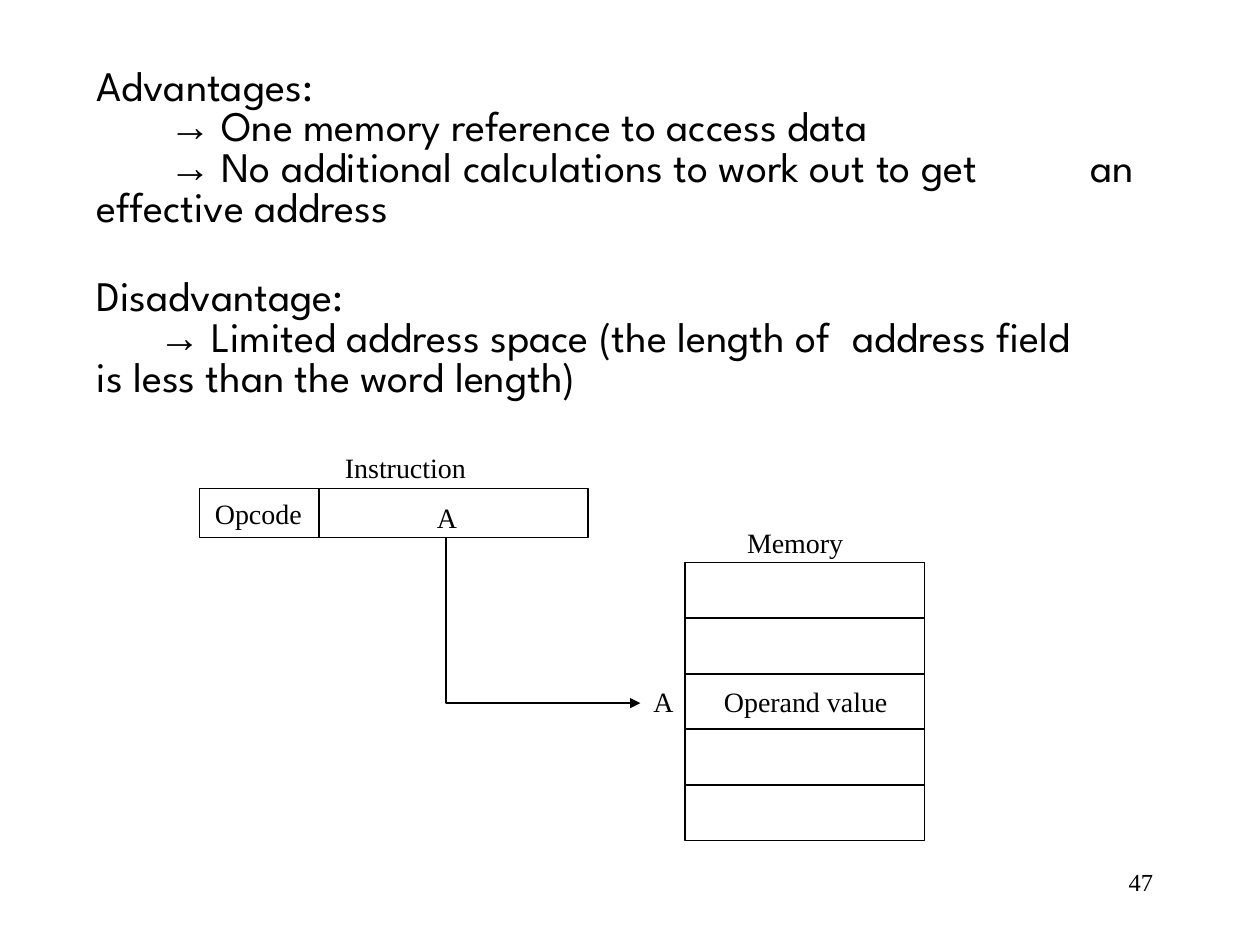
from lxml.etree import SubElement
from pptx import Presentation
from pptx.dml.color import RGBColor
from pptx.enum.shapes import MSO_CONNECTOR, MSO_SHAPE
from pptx.enum.text import MSO_ANCHOR, MSO_AUTO_SIZE, PP_ALIGN
from pptx.oxml.ns import qn
from pptx.util import Pt

BLACK = RGBColor(0x00, 0x00, 0x00)
SERIF = "Times New Roman"
SANS = "League Spartan"


def add_label(text, left, top, width, height, size=16, align=PP_ALIGN.LEFT, wrap=False):
    box = slide.shapes.add_textbox(Pt(left), Pt(top), Pt(width), Pt(height))
    box.text_frame.word_wrap = wrap
    paragraph = box.text_frame.paragraphs[0]
    paragraph.alignment = align
    run = paragraph.add_run()
    run.text = text
    run.font.name = SERIF
    run.font.size = Pt(size)
    run.font.color.rgb = BLACK


def outline(shape):
    shape.fill.background()
    shape.line.color.rgb = BLACK
    shape.line.width = Pt(1)
    shape.shadow.inherit = False


presentation = Presentation()
presentation.slide_width = Pt(720)
presentation.slide_height = Pt(540)
slide = presentation.slides.add_slide(presentation.slide_layouts[3])
title = slide.shapes.title
title.element.getparent().remove(title.element)

lists = [
    (1, (48, 36, 624, 99.5), 41.5, 576, "Advantages:", [
        "One memory reference to access data",
        "No additional calculations to work out to get \tan effective address",
    ]),
    (2, (48, 156.2, 588, 76), 35.5, 432, "Disadvantage:", [
        "Limited address space (the length of \taddress field is less than the word length)",
    ]),
]
for index, (left, top, width, height), indent, tab, heading, points in lists:
    body = slide.placeholders[index]
    body.left, body.top, body.width, body.height = Pt(left), Pt(top), Pt(width), Pt(height)
    frame = body.text_frame
    frame.word_wrap = True
    frame.auto_size = MSO_AUTO_SIZE.NONE
    frame.vertical_anchor = MSO_ANCHOR.TOP
    for number, text in enumerate([heading] + points):
        paragraph = frame.paragraphs[0] if number == 0 else frame.add_paragraph()
        properties = paragraph._p.get_or_add_pPr()
        properties.set("marL", "0")
        properties.set("indent", str(Pt(indent) if number else 0))
        properties.set("defTabSz", str(Pt(72)))
        SubElement(properties, qn("a:buNone"))
        tabs = SubElement(properties, qn("a:tabLst"))
        SubElement(tabs, qn("a:tab"), pos=str(Pt(tab)), algn="l")
        paragraph.line_spacing = 0.8
        paragraph.space_before = Pt(0)
        pieces = [("→", "Arial"), (" " + text, SANS)] if number else [(text, SANS)]
        for piece, font in pieces:
            run = paragraph.add_run()
            run.text = piece
            run.font.name = font
            run.font.size = Pt(24)
            run.font.color.rgb = BLACK

instruction = slide.shapes.add_shape(MSO_SHAPE.RECTANGLE, Pt(114), Pt(279.2), Pt(222), Pt(28))
outline(instruction)
divider = slide.shapes.add_connector(
    MSO_CONNECTOR.STRAIGHT, Pt(182.2), Pt(279.2), Pt(182.2), Pt(307.2))
divider.line.color.rgb = BLACK
divider.line.width = Pt(1)
SubElement(divider._element.spPr, qn("a:effectLst"))

for row in range(5):
    cell = slide.shapes.add_shape(
        MSO_SHAPE.RECTANGLE, Pt(391.5), Pt(321.4 + 31.8 * row), Pt(136.8), Pt(31.8))
    outline(cell)

builder = slide.shapes.build_freeform(Pt(254.7), Pt(307.2))
builder.add_line_segments([(Pt(254.7), Pt(401.8)), (Pt(366), Pt(401.8))], close=False)
pointer = builder.convert_to_shape()
outline(pointer)
SubElement(pointer.line._get_or_add_ln(), qn("a:tailEnd"), type="triangle")

add_label("Instruction", 190, 253.8, 90, 26)
add_label("Opcode", 115.7, 280.4, 70, 26)
add_label("A", 242.6, 282.6, 30, 26)
add_label("Memory", 419.8, 297, 80, 26)
add_label("Operand value", 406.6, 387.6, 116, 26)
add_label("A", 366.2, 387.6, 24, 26, align=PP_ALIGN.CENTER, wrap=True)
add_label("47", 516, 492, 150, 36, size=14, align=PP_ALIGN.RIGHT, wrap=True)

presentation.save("out.pptx")
